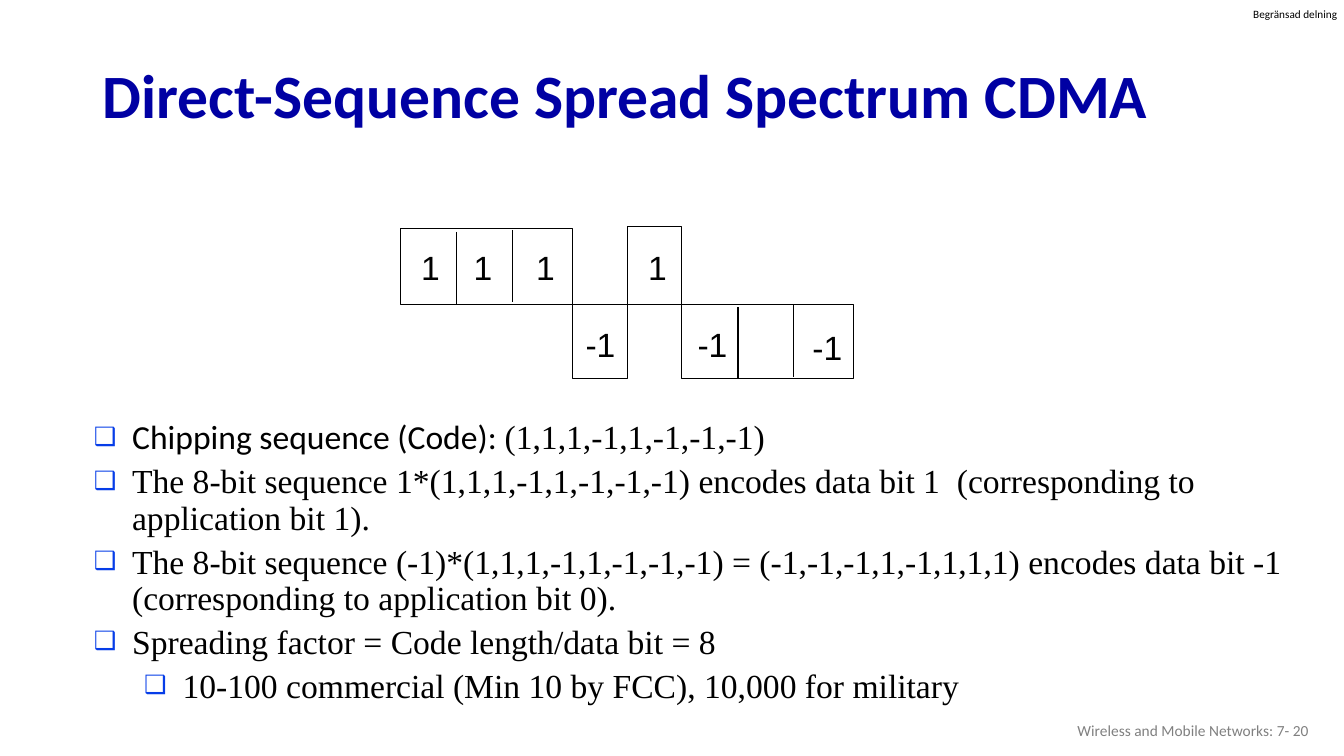
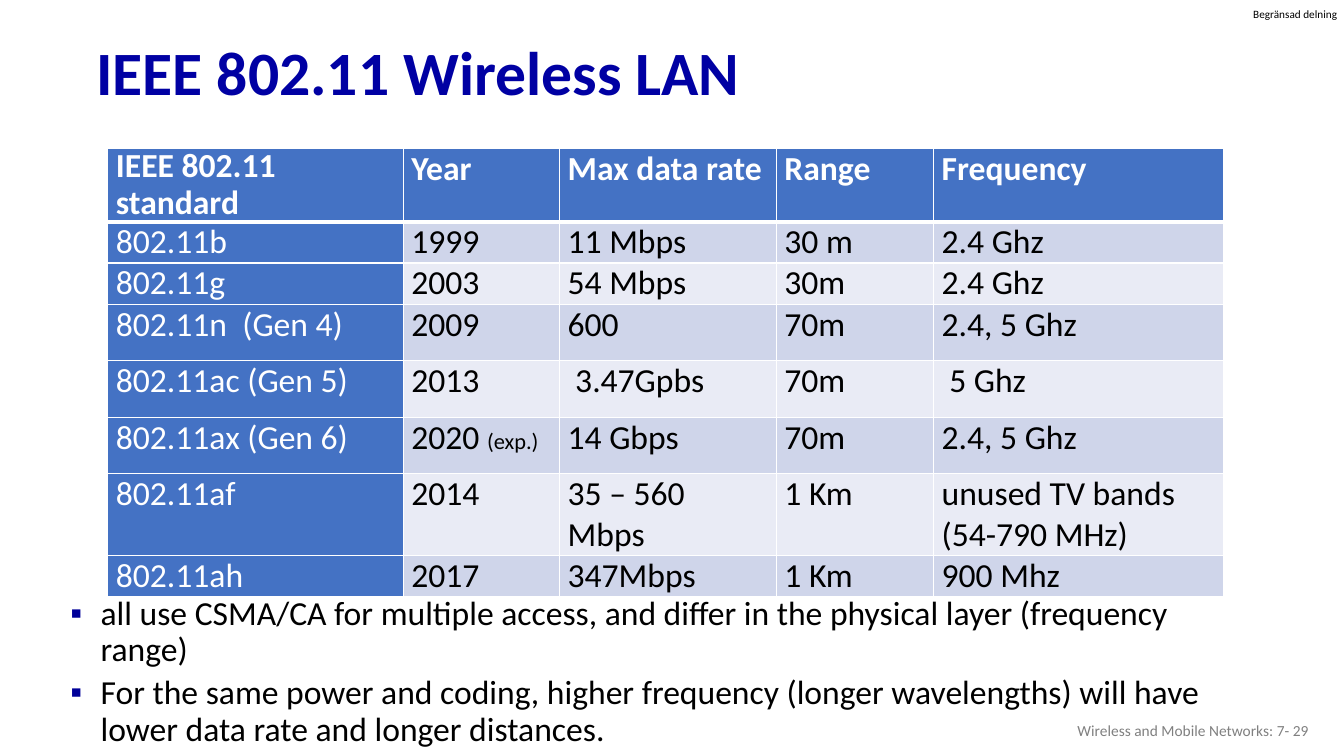
"""Build two slides on spread spectrum coding and wireless LAN standards."""
from dataclasses import dataclass

from lxml import etree
from pptx import Presentation
from pptx import util as u
from pptx.dml.color import RGBColor
from pptx.enum import shapes, text
from pptx.oxml import ns

NAVY, GREY, BLACK, WHITE = "0000A3", "808080", "000000", "FFFFFF"
BLUE, BANDS = "4472C4", ("CFD5EA", "E9EBF5")
SANS, SERIF, PLAIN = "Calibri", "Times New Roman", "Arial"


@dataclass(frozen=True)
class Run:
    words: str
    size: float = 24
    face: str = SANS
    tint: str = BLACK
    bold: bool = False


@dataclass(frozen=True)
class Box:
    left: float
    top: float
    width: float
    height: float

    def spans(self) -> list:
        return [u.Inches(v) for v in (self.left, self.top, self.width, self.height)]


@dataclass(frozen=True)
class Bullet:
    sign: str
    tint: str
    scale: int
    hang: float


@dataclass(frozen=True)
class Item:
    runs: tuple
    indent: float


@dataclass(frozen=True)
class Label:
    words: str
    left: float
    top: float


@dataclass(frozen=True)
class Rule:
    x: float
    top: float
    end: float


def color(code: str) -> RGBColor:
    return RGBColor.from_string(code)


def node(parent, tag: str, **attrs):
    return etree.SubElement(parent, ns.qn(tag), attrs)


def write(para, runs) -> None:
    for item in runs:
        run = para.add_run()
        run.text = item.words
        run.font.size = u.Pt(item.size)
        run.font.name = item.face
        run.font.bold = item.bold
        run.font.color.rgb = color(item.tint)


def add_box(slide, box: Box, pads=(0.1, 0.05, 0.1, 0.05), wrap: bool = True):
    frame = slide.shapes.add_textbox(*box.spans()).text_frame
    frame.word_wrap = wrap
    (frame.margin_left, frame.margin_top,
     frame.margin_right, frame.margin_bottom) = map(u.Inches, pads)
    return frame


def add_list(frame, items, bullet: Bullet, pitch, gap: float) -> None:
    for i, item in enumerate(items):
        para = frame.paragraphs[0] if i == 0 else frame.add_paragraph()
        props = para._p.get_or_add_pPr()
        props.set("marL", str(u.Inches(item.indent)))
        props.set("indent", str(-u.Inches(bullet.hang)))
        tint = node(props, "a:buClr")
        node(tint, "a:srgbClr", val=bullet.tint)
        node(props, "a:buSzPct", val=str(bullet.scale * 1000))
        node(props, "a:buFont", typeface=PLAIN)
        node(props, "a:buChar", char=bullet.sign)
        para.line_spacing = pitch
        para.space_before = u.Pt(gap if i else 0)
        write(para, item.runs)


def start(deck, title: str, box: Box, page: int):
    slide = deck.slides.add_slide(deck.slide_layouts[6])
    mark = add_box(slide, Box(12.43, 0.07, 0.86, 0.13), (0, 0, 0, 0), False)
    write(mark.paragraphs[0], [Run("Begränsad delning", 8)])
    head = add_box(slide, box)
    head.vertical_anchor = text.MSO_ANCHOR.MIDDLE
    head.paragraphs[0].line_spacing = 0.9
    write(head.paragraphs[0], [Run(title, 44, tint=NAVY, bold=True)])
    foot = add_box(slide, Box(10.08, 7.05, 3, 0.4))
    foot.vertical_anchor = text.MSO_ANCHOR.MIDDLE
    foot.paragraphs[0].alignment = text.PP_ALIGN.RIGHT
    write(foot.paragraphs[0],
          [Run(f"Wireless and Mobile Networks: 7- {page}", 11, tint=GREY)])
    return slide


def add_frame(slide, box: Box) -> None:
    shape = slide.shapes.add_shape(shapes.MSO_SHAPE.RECTANGLE, *box.spans())
    shape.shadow.inherit = False
    shape.fill.background()
    shape.line.color.rgb = color(BLACK)
    shape.line.width = u.Pt(0.75)


def add_rule(slide, rule: Rule) -> None:
    ends = [u.Inches(v) for v in (rule.x, rule.top, rule.x, rule.end)]
    line = slide.shapes.add_connector(shapes.MSO_CONNECTOR.STRAIGHT, *ends)
    line.line.color.rgb = color(BLACK)
    line.line.width = u.Pt(0.75)
    node(line._element.spPr, "a:effectLst")


CHIPS = (Box(3.97, 2.27, 1.71, 0.75), Box(6.76, 3.02, 1.71, 0.74),
         Box(5.68, 3.02, 0.54, 0.74), Box(6.22, 2.25, 0.54, 0.77))
RULES = (Rule(4.53, 2.3, 3.02), Rule(5.08, 2.28, 3),
         Rule(7.32, 3.05, 3.76), Rule(7.87, 3.03, 3.74))
LABELS = (Label("1", 4.08, 2.4), Label("1", 4.6, 2.4), Label("1", 5.22, 2.4),
          Label("1", 6.33, 2.4), Label("-1", 5.71, 3.16),
          Label("-1", 6.82, 3.16), Label("-1", 7.96, 3.19))
CODE = "(1,1,1,-1,1,-1,-1,-1)"
NOTES = (
    Item((Run("Chipping sequence (Code): "), Run(CODE, face=SERIF)), 0.39),
    Item((Run(f"The 8-bit sequence 1*{CODE} encodes data bit 1  "
              "(corresponding to application bit 1).", face=SERIF),), 0.39),
    Item((Run(f"The 8-bit sequence (-1)*{CODE} = (-1,-1,-1,1,-1,1,1,1) encodes "
              "data bit -1 (corresponding to application bit 0).", face=SERIF),), 0.39),
    Item((Run("Spreading factor = Code length/data bit = 8", face=SERIF),), 0.39),
    Item((Run("10-100 commercial (Min 10 by FCC), 10,000 for military",
              face=SERIF),), 0.89),
)


def code_slide(deck) -> None:
    slide = start(deck, "Direct-Sequence Spread Spectrum CDMA",
                  Box(0.92, 0.49, 11.5, 0.98), 20)
    body = add_box(slide, Box(0.92, 4.12, 11.82, 2.88), (0, 0.05, 0, 0))
    add_list(body, NOTES, Bullet("❑", "063DE8", 75, 0.38), u.Pt(25.9), 5.5)
    for chip in CHIPS:
        add_frame(slide, chip)
    for rule in RULES:
        add_rule(slide, rule)
    for label in LABELS:
        frame = add_box(slide, Box(label.left, label.top, 1.3, 0.51))
        write(frame.paragraphs[0], [Run(label.words, face=PLAIN)])


COLS = (2.93, 1.55, 2.15, 1.56, 2.88)
ROWS = (0.73, 0.41, 0.41, 0.56, 0.56, 0.56, 0.81, 0.41)
CELLS = (
    ("IEEE 802.11 standard", "Year", "Max data rate", "Range", "Frequency"),
    ("802.11b", "1999", "11 Mbps", "30 m", "2.4 Ghz"),
    ("802.11g", "2003", "54 Mbps", "30m", "2.4 Ghz"),
    ("802.11n  (Gen 4)", "2009", "600", "70m", "2.4, 5 Ghz"),
    ("802.11ac (Gen 5)", "2013", " 3.47Gpbs", "70m", " 5 Ghz"),
    ("802.11ax (Gen 6)", "2020 ", "14 Gbps", "70m", "2.4, 5 Ghz"),
    ("802.11af", "2014", "35 – 560 Mbps", "1 Km", "unused TV bands (54-790 MHz)"),
    ("802.11ah", "2017", "347Mbps", "1 Km", "900 Mhz"),
)
EXTRA = {(5, 1): Run("(exp.)", 16)}
FACTS = (
    "all use CSMA/CA for multiple access, and differ in the physical layer "
    "(frequency range)",
    "For the same power and coding, higher frequency (longer wavelengths) will "
    "have lower data rate and longer distances.",
)


def edge(cell, row: int) -> None:
    widths = {"L": 1, "R": 1, "T": 3 if row == 1 else 1, "B": 3 if row == 0 else 1}
    props = cell._tc.get_or_add_tcPr()
    for side, width in widths.items():
        line = node(props, f"a:ln{side}", w=str(u.Pt(width)))
        node(node(line, "a:solidFill"), "a:srgbClr", val=WHITE)


def add_grid(slide) -> None:
    box = Box(1.07, 1.47, sum(COLS), sum(ROWS))
    table = slide.shapes.add_table(len(ROWS), len(COLS), *box.spans()).table
    table.horz_banding = False
    for col, width in zip(table.columns, COLS):
        col.width = u.Inches(width)
    for r, (row, height) in enumerate(zip(table.rows, ROWS)):
        row.height = u.Inches(height)
        for c, cell in enumerate(row.cells):
            head = r == 0 or c == 0
            edge(cell, r)
            cell.fill.solid()
            cell.fill.fore_color.rgb = color(BLUE if head else BANDS[(r - 1) % 2])
            cell.margin_left = cell.margin_right = u.Inches(0.08)
            cell.margin_top = cell.margin_bottom = 0
            runs = [Run(CELLS[r][c], tint=WHITE if head else BLACK, bold=r == 0)]
            if (r, c) in EXTRA:
                runs.append(EXTRA[r, c])
            write(cell.text_frame.paragraphs[0], runs)
    table.cell(0, 0).text_frame.paragraphs[0].line_spacing = 0.9


def lan_slide(deck) -> None:
    slide = start(deck, "IEEE 802.11 Wireless LAN", Box(0.86, 0.26, 11.5, 0.98), 29)
    add_grid(slide)
    body = add_box(slide, Box(0.6, 5.87, 11.76, 1.43))
    items = [Item((Run(fact),), 0.3) for fact in FACTS]
    add_list(body, items, Bullet("▪", "000099", 100, 0.3), 0.9, 4.8)


def main() -> None:
    deck = Presentation()
    deck.slide_width, deck.slide_height = u.Inches(13.33), u.Inches(7.5)
    code_slide(deck)
    lan_slide(deck)
    deck.save("out.pptx")


if __name__ == "__main__":
    main()
